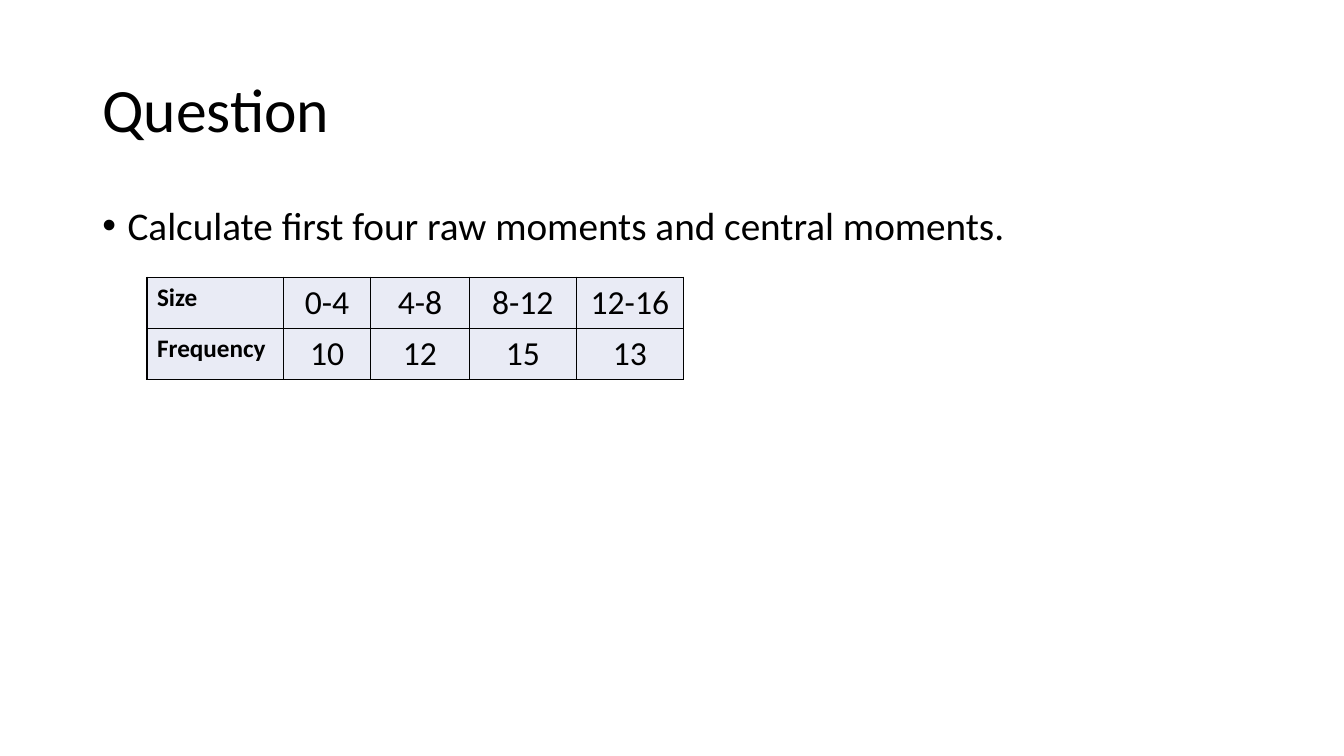
from dataclasses import dataclass

from lxml import etree
from pptx import Presentation
from pptx.dml.color import RGBColor
from pptx.enum.text import MSO_ANCHOR, MSO_AUTO_SIZE, PP_ALIGN
from pptx.oxml.ns import qn
from pptx.util import Pt

LEFT, CENTER = PP_ALIGN.LEFT, PP_ALIGN.CENTER
TOP, MIDDLE = MSO_ANCHOR.TOP, MSO_ANCHOR.MIDDLE
NO_AUTOFIT = MSO_AUTO_SIZE.NONE
EMU_PER_PX = 9525
TITLE_AND_CONTENT = 1


@dataclass(frozen=True)
class Theme:
    font: str = "Calibri"
    text: str = "000000"
    border: str = "000000"
    cell_fill: str = "E9EBF5"
    title_size: int = 44
    body_size: int = 28
    value_size: int = 24
    label_size: int = 18
    border_width: int = 1


THEME = Theme()
COLUMN_WIDTHS = [130, 83, 94, 102, 102]
ROW_HEIGHT = 48
FREQUENCY_ROWS = [
    ["Size", "0-4", "4-8", "8-12", "12-16"],
    ["Frequency", "10", "12", "15", "13"],
]


def px(n):
    return n * EMU_PER_PX


def format_text(p, size, bold=False, align=LEFT):
    p.alignment = align
    for r in p.runs:
        r.font.name = THEME.font
        r.font.size = Pt(size)
        r.font.bold = bold
        r.font.color.rgb = RGBColor.from_string(THEME.text)


def fill_placeholder(sp, box, text, size, anchor):
    """Place a placeholder and return its single formatted paragraph."""
    sp.left, sp.top, sp.width, sp.height = map(px, box)
    tf = sp.text_frame
    tf.text = text
    tf.word_wrap = True
    tf.auto_size = NO_AUTOFIT
    tf.vertical_anchor = anchor
    p = tf.paragraphs[0]
    p.line_spacing = 0.9
    format_text(p, size)
    return p


def add_bullet(p, indent):
    pPr = p._p.get_or_add_pPr()
    pPr.set("marL", str(px(indent)))
    pPr.set("indent", str(-px(indent)))
    etree.SubElement(pPr, qn("a:buFont")).set("typeface", "Arial")
    etree.SubElement(pPr, qn("a:buChar")).set("char", "•")


def add_borders(cell):
    """Draw all four sides; borders must precede the fill in the cell XML."""
    tcPr = cell._tc.get_or_add_tcPr()
    for i, side in enumerate(("a:lnL", "a:lnR", "a:lnT", "a:lnB")):
        ln = etree.Element(qn(side), w=str(Pt(THEME.border_width)))
        fill = etree.SubElement(ln, qn("a:solidFill"))
        etree.SubElement(fill, qn("a:srgbClr")).set("val", THEME.border)
        tcPr.insert(i, ln)


def add_cell(cell, text, is_label):
    cell.text = text
    cell.fill.solid()
    cell.fill.fore_color.rgb = RGBColor.from_string(THEME.cell_fill)
    size = THEME.label_size if is_label else THEME.value_size
    format_text(cell.text_frame.paragraphs[0], size, is_label,
                LEFT if is_label else CENTER)
    add_borders(cell)


def add_frequency_table(s, left, top):
    table = s.shapes.add_table(
        len(FREQUENCY_ROWS), len(COLUMN_WIDTHS), px(left), px(top),
        px(sum(COLUMN_WIDTHS)), px(ROW_HEIGHT * len(FREQUENCY_ROWS))).table
    table.first_row = False
    table.horz_banding = False
    for column, width in zip(table.columns, COLUMN_WIDTHS):
        column.width = px(width)
    for i, row in enumerate(FREQUENCY_ROWS):
        for j, text in enumerate(row):
            add_cell(table.cell(i, j), text, is_label=j == 0)


def main():
    prs = Presentation()
    prs.slide_width, prs.slide_height = px(1280), px(720)
    s = prs.slides.add_slide(prs.slide_layouts[TITLE_AND_CONTENT])
    fill_placeholder(s.shapes.title, (88, 38, 1104, 139), "Question",
                     THEME.title_size, MIDDLE)
    p = fill_placeholder(
        s.placeholders[1], (88, 192, 1104, 58),
        "Calculate first four raw moments and central moments.",
        THEME.body_size, TOP)
    p.space_before = Pt(10)
    add_bullet(p, 24)
    add_frequency_table(s, 140, 264)
    prs.save("out.pptx")


if __name__ == "__main__":
    main()
